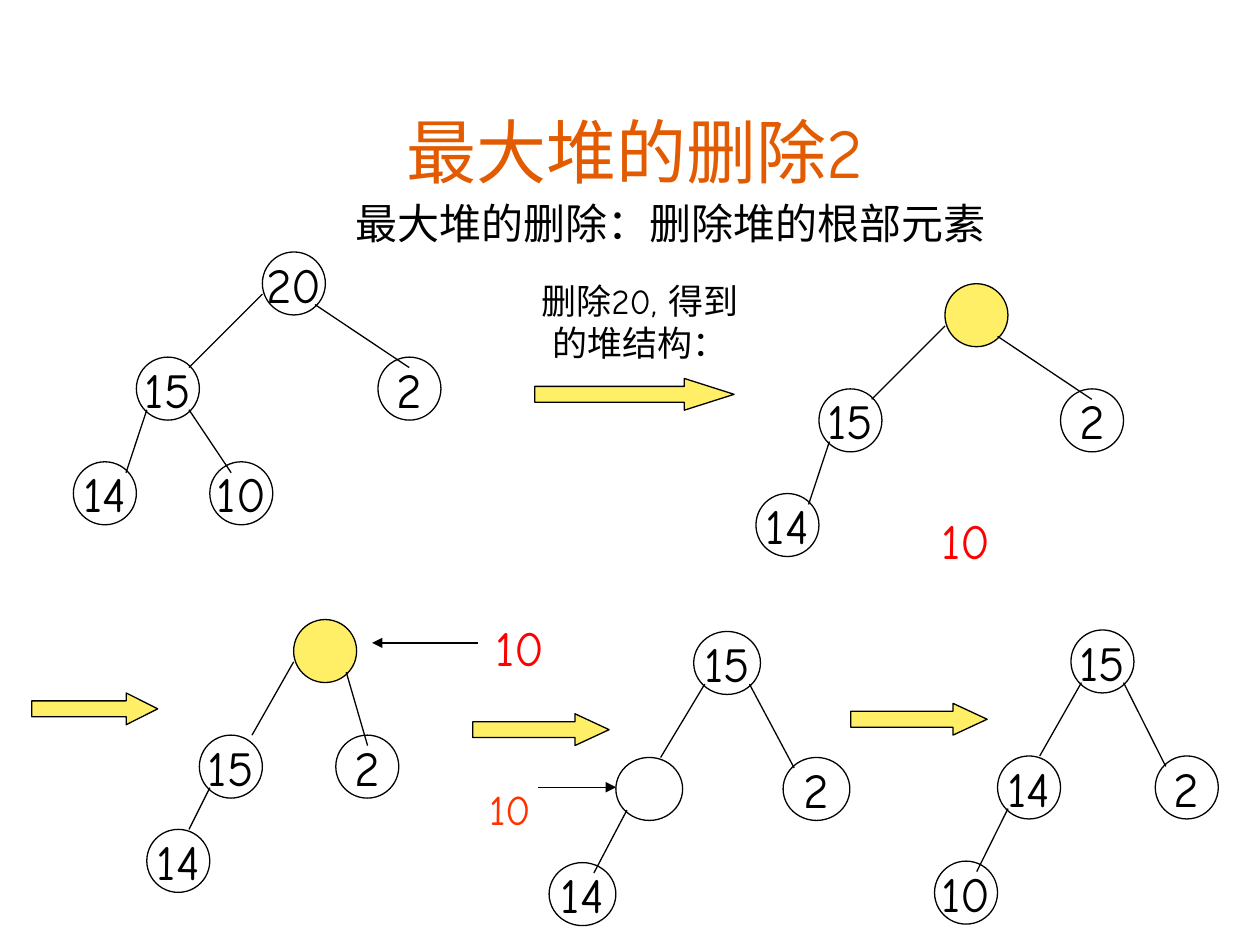
from lxml import etree
from pptx import Presentation
from pptx.dml.color import RGBColor
from pptx.enum.shapes import MSO_CONNECTOR, MSO_SHAPE
from pptx.enum.text import MSO_ANCHOR, PP_ALIGN
from pptx.oxml.ns import qn
from pptx.util import Cm, Pt

CIRCLE = MSO_SHAPE.FLOWCHART_CONNECTOR
ARROW = MSO_SHAPE.RIGHT_ARROW
LINE = MSO_CONNECTOR.STRAIGHT
CENTER = PP_ALIGN.CENTER
TOP, MIDDLE, BOTTOM = MSO_ANCHOR.TOP, MSO_ANCHOR.MIDDLE, MSO_ANCHOR.BOTTOM

FONT = "Comic Neue"
COLORS = {
    "title": "E25B00",
    "ink": "000000",
    "hole": "FFEF66",
    "red": "FF0000",
    "orange": "FF3300",
}
NODE = 1.27

# Tree forms in cm: node corners and edge ends, from the top left of the tree
WIDE = {
    "nodes": {"root": (3.81, 0), "left": (1.27, 2.12), "low": (0, 4.23),
              "inner": (2.75, 4.23), "right": (6.14, 2.12)},
    "edges": {"left": (3.81, 0.85, 2.33, 2.33),
              "low": (1.48, 3.18, 1.06, 4.45),
              "inner": (2.33, 3.18, 3.18, 4.45),
              "right": (4.87, 1.06, 6.77, 2.33)},
}
SMALL = {
    "nodes": {"root": (2.96, 0), "left": (1.06, 2.33), "low": (0, 4.23),
              "right": (3.81, 2.33)},
    "edges": {"left": (2.96, 0.85, 2.12, 2.33),
              "low": (1.27, 3.39, 0.85, 4.23),
              "right": (4.02, 1.06, 4.45, 2.54)},
}
TALL = {
    "nodes": {"root": (2.75, 0), "left": (1.27, 2.54), "low": (0, 4.66),
              "right": (4.45, 2.54)},
    "edges": {"left": (2.96, 1.06, 2.12, 2.54),
              "low": (1.48, 3.6, 0.85, 4.87),
              "right": (3.81, 1.06, 4.66, 2.75)},
}


def color(name):
    return RGBColor.from_string(COLORS[name])


def write(frame, text, size, ink="ink", anchor=TOP, wrap=True):
    frame.word_wrap = wrap
    frame.vertical_anchor = anchor
    para = frame.paragraphs[0]
    para.alignment = CENTER
    run = para.add_run()
    run.text = text
    run.font.size = Pt(size)
    run.font.name = FONT
    run.font.color.rgb = color(ink)


def label(shapes, box, text, size, ink="ink", anchor=TOP):
    area = shapes.add_textbox(*map(Cm, box))
    write(area.text_frame, text, size, ink, anchor)


def draw(shapes, kind, box, fill=None):
    shape = shapes.add_shape(kind, *map(Cm, box))
    shape.shadow.inherit = False
    if fill:
        shape.fill.solid()
        shape.fill.fore_color.rgb = color(fill)
    else:
        shape.fill.background()
    shape.line.color.rgb = color("ink")
    shape.line.width = Pt(0.75)
    return shape


def link(shapes, ends, head=False):
    line = shapes.add_connector(LINE, *map(Cm, ends))
    line.line.color.rgb = color("ink")
    line.line.width = Pt(0.75)
    props = line._element.spPr
    if head:
        etree.SubElement(props.find(qn("a:ln")), qn("a:tailEnd"), type="triangle")
    etree.SubElement(props, qn("a:effectLst"))


def arrow(shapes, left, top, width, height=0.64):
    shape = draw(shapes, ARROW, (left, top, width, height), "hole")
    # The head takes a quarter of the length
    shape.adjustments[1] = width / 4 / height


def tree(slide, left, top, form, keys, stretch=1):
    """Draw a heap; a key of None is a yellow hole, "" an open one."""
    shapes = slide.shapes.add_group_shape().shapes
    for place, key in keys.items():
        x, y = form["nodes"][place]
        box = (left + x * stretch, top + y, NODE * stretch, NODE)
        node = draw(shapes, CIRCLE, box, "hole" if key is None else None)
        if key:
            write(node.text_frame, key, 28, anchor=MIDDLE, wrap=False)
    for place, (x1, y1, x2, y2) in form["edges"].items():
        if place in keys:
            link(shapes, (left + x1 * stretch, top + y1,
                          left + x2 * stretch, top + y2))


def heading(slide, left, top):
    label(slide.shapes, (left, top, 21.79, 2.11), "最大堆的删除2", 40,
          "title", BOTTOM)
    label(slide.shapes, (left + 2.62, top + 1.96, 17.98, 1.27),
          "最大堆的删除：删除堆的根部元素", 24)


def step(slide, left, top):
    shapes = slide.shapes.add_group_shape().shapes
    label(shapes, (left, top, 5.08, 1.96), "删除20, 得到的堆结构：", 20)
    arrow(shapes, left + 0.42, top + 2.12, 4.02)


def moves(slide, left, top):
    """Arrows between the lower heaps."""
    for x, y, width in ((0, 0, 2.54), (8.89, 0.42, 2.75), (16.51, 0.21, 2.75)):
        arrow(slide.shapes, left + x, top + y, width)


def spare(slide, left, top):
    """The key 10 on its way to the root."""
    shapes = slide.shapes
    label(shapes, (left, top, 1.7, 1.45), "10", 28, "red")
    link(shapes, (left, top + 0.64, left - 2.13, top + 0.64), True)


def sift(slide, left, top):
    """The key 10 on its way to the open node."""
    shapes = slide.shapes
    label(shapes, (left, top, 1.57, 1.27), "10", 24, "orange")
    link(shapes, (left + 1.35, top + 0.2, left + 2.92, top + 0.2), True)


def main():
    deck = Presentation()
    deck.slide_width, deck.slide_height = Cm(25.4), Cm(19.05)
    slide = deck.slides.add_slide(deck.slide_layouts[6])

    heading(slide, 1.9, 1.9)

    # Upper row: the root is taken out
    step(slide, 10.36, 5.51)
    tree(slide, 15.24, 5.72, WIDE,
         {"root": None, "left": "15", "low": "14", "right": "2"})
    label(slide.shapes, (18.2, 10.16, 2.54, 1.45), "10", 28, "red")
    tree(slide, 1.48, 5.08, WIDE,
         {"root": "20", "left": "15", "low": "14", "inner": "10", "right": "2"})

    # Lower row: 10 finds its place
    spare(slide, 9.63, 12.32)
    tree(slide, 2.96, 12.49, SMALL,
         {"root": None, "left": "15", "low": "14", "right": "2"})
    tree(slide, 11.07, 12.73, TALL,
         {"root": "15", "left": "", "low": "14", "right": "2"}, 1.06)
    sift(slide, 9.5, 15.67)
    tree(slide, 18.84, 12.7, TALL,
         {"root": "15", "left": "14", "low": "10", "right": "2"})
    moves(slide, 0.64, 13.97)

    deck.save("out.pptx")


if __name__ == "__main__":
    main()
